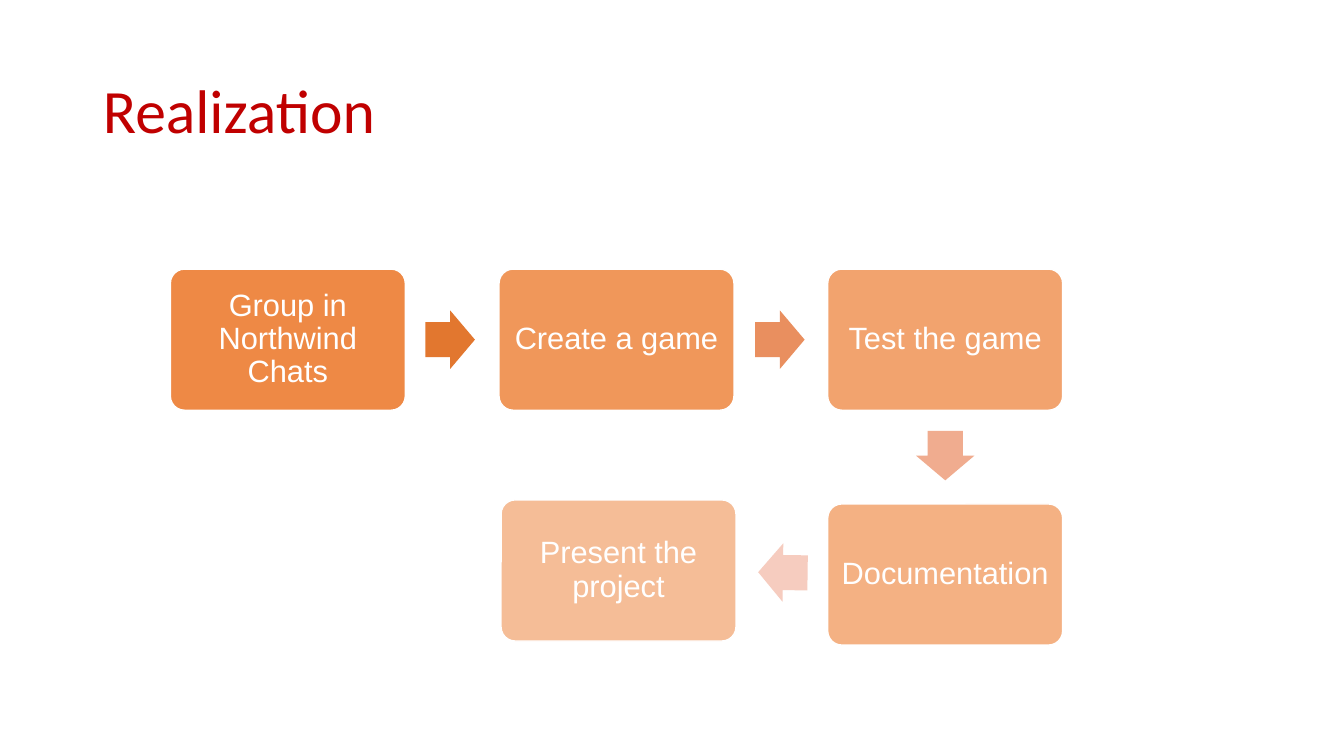
from dataclasses import dataclass

from lxml import etree
from pptx import Presentation
from pptx.dml.color import RGBColor
from pptx.enum import shapes, text
from pptx.oxml import ns
from pptx.util import Inches, Pt


@dataclass(frozen=True)
class Theme:
    title_color: RGBColor = RGBColor(0xC0, 0x00, 0x00)
    step_color: RGBColor = RGBColor(0xED, 0x7D, 0x31)
    white: RGBColor = RGBColor(0xFF, 0xFF, 0xFF)
    title_font: str = "Calibri"
    step_font: str = "Arial"
    title_size: Pt = Pt(44)
    step_size: Pt = Pt(22)


theme = Theme()

presentation = Presentation()
presentation.slide_width = Inches(13.33)
presentation.slide_height = Inches(7.5)
slide = presentation.slides.add_slide(presentation.slide_layouts[5])

# Title
title = slide.shapes.title
title.left, title.top = Inches(0.92), Inches(0.4)
title.width, title.height = Inches(11.5), Inches(1.45)
title.text_frame.text = "Realization"
title.text_frame.vertical_anchor = text.MSO_ANCHOR.MIDDLE
paragraph = title.text_frame.paragraphs[0]
paragraph.alignment = text.PP_ALIGN.LEFT
paragraph.line_spacing = 0.9
paragraph.font.name = theme.title_font
paragraph.font.size = theme.title_size
paragraph.font.color.rgb = theme.title_color

# Steps: each box is ten points more transparent than the one before
steps = [
    ("Group in Northwind Chats", 1.69, 2.67),
    ("Create a game", 4.95, 2.67),
    ("Test the game", 8.21, 2.67),
    ("Documentation", 8.21, 5),
    ("Present the project", 4.97, 4.96),
]
for index, (label, left, top) in enumerate(steps):
    box = slide.shapes.add_shape(
        shapes.MSO_SHAPE.ROUNDED_RECTANGLE,
        Inches(left), Inches(top), Inches(2.33), Inches(1.4))
    box.adjustments[0] = 0.1
    box.shadow.inherit = False
    box.fill.solid()
    box.fill.fore_color.rgb = theme.step_color
    color = box.fill._xPr.find(ns.qn("a:solidFill"))[0]
    etree.SubElement(color, ns.qn("a:alpha"), val=str(90000 - 10000 * index))
    box.line.color.rgb = theme.white
    box.line.width = Pt(1)

    frame = box.text_frame
    frame.text = label
    frame.word_wrap = True
    frame.vertical_anchor = text.MSO_ANCHOR.MIDDLE
    frame.margin_left = frame.margin_right = Inches(0.08)
    frame.margin_top = frame.margin_bottom = Inches(0.08)
    paragraph = frame.paragraphs[0]
    paragraph.alignment = text.PP_ALIGN.CENTER
    paragraph.line_spacing = 0.9
    paragraph.font.name = theme.step_font
    paragraph.font.size = theme.step_size
    paragraph.font.color.rgb = theme.white

# Arrows between the steps
arrows = [
    (4.22, 3.08, 0, "E2772F"),
    (7.49, 3.08, 0, "E98F5F"),
    (9.13, 4.23, 90, "F0AC8F"),
    (7.52, 5.39, 180.8, "F6CCBF"),
]
for left, top, rotation, fill in arrows:
    arrow = slide.shapes.add_shape(
        shapes.MSO_SHAPE.RIGHT_ARROW,
        Inches(left), Inches(top), Inches(0.49), Inches(0.58))
    arrow.adjustments[0] = 0.6
    arrow.adjustments[1] = 0.5
    arrow.rotation = rotation
    arrow.shadow.inherit = False
    arrow.fill.solid()
    arrow.fill.fore_color.rgb = RGBColor.from_string(fill)
    arrow.line.fill.background()

presentation.save("out.pptx")
